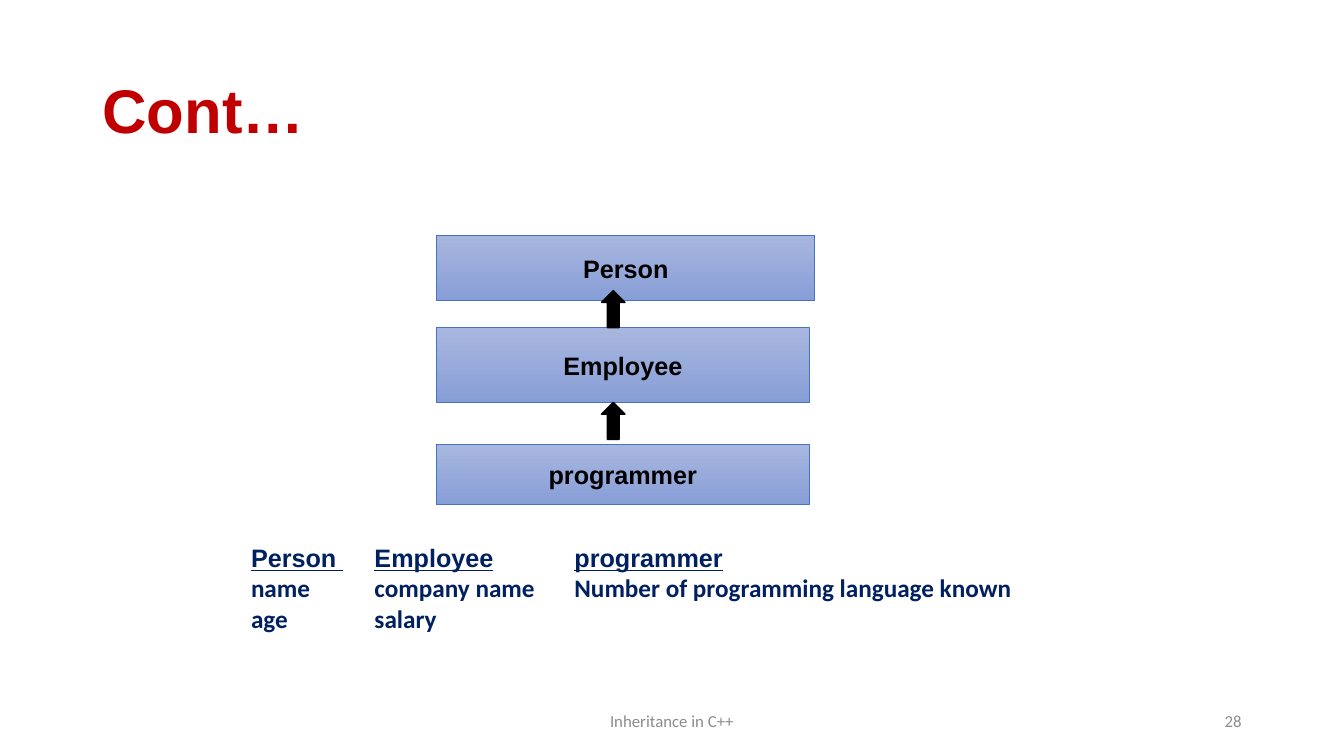
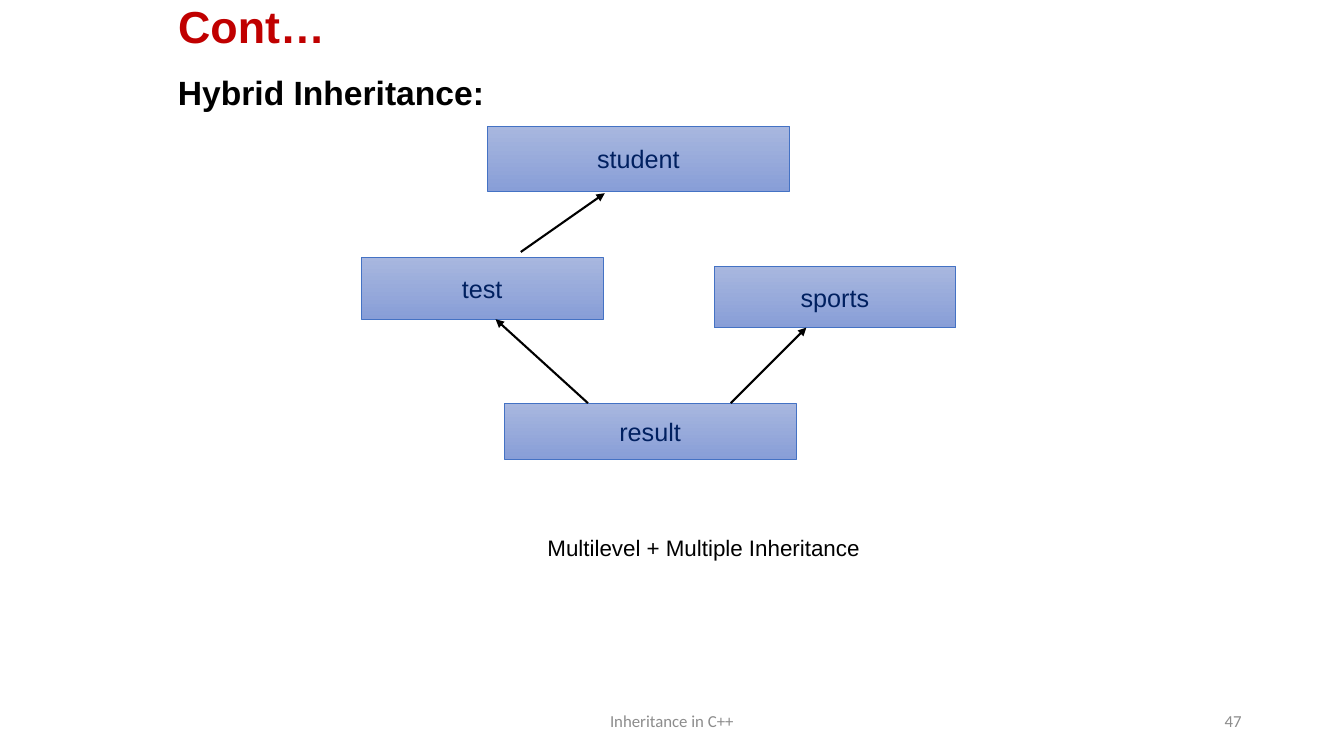
from lxml.etree import SubElement
from pptx import Presentation
from pptx.dml.color import RGBColor
from pptx.enum.shapes import MSO_CONNECTOR, MSO_SHAPE
from pptx.enum.text import MSO_ANCHOR, MSO_AUTO_SIZE, PP_ALIGN
from pptx.oxml.ns import qn
from pptx.util import Inches, Pt

SLIDE_WIDTH, SLIDE_HEIGHT = Inches(13.333), Inches(7.5)
COLUMNS = 16  # square cells: 16 columns by 9 rows
CELL = SLIDE_WIDTH / COLUMNS
TITLE_ONLY = 5

COLORS = {
    "title": "C00000",
    "navy": "002060",
    "black": "000000",
    "footer": "8C8C8C",
    "box_top": "A8B7DF",
    "box_bottom": "889ED7",
    "box_line": "4472C4",
}


def color(name):
    return RGBColor.from_string(COLORS[name])


def cells(*values):
    """Turn grid cells into slide lengths."""
    return [round(value * CELL) for value in values]


def add_run(paragraph, text, size, color_name, font="Arial", bold=False, underline=False):
    run = paragraph.add_run()
    run.text = text
    run.font.name = font
    run.font.size = Pt(size)
    run.font.bold = bold
    run.font.underline = underline
    run.font.color.rgb = color(color_name)


def add_text_box(slide, area, anchor=MSO_ANCHOR.TOP, wrap=True):
    """Add an empty text box and return its text frame."""
    frame = slide.shapes.add_textbox(*cells(*area)).text_frame
    frame.word_wrap = wrap
    frame.vertical_anchor = anchor
    return frame


def add_footer_text(slide, area, text, alignment):
    paragraph = add_text_box(slide, area, MSO_ANCHOR.MIDDLE).paragraphs[0]
    paragraph.alignment = alignment
    add_run(paragraph, text, 12, "footer", font="Calibri")


def add_slide(presentation, title, title_area, title_size, anchor, number):
    """Add a slide with the shared title style, footer and slide number."""
    slide = presentation.slides.add_slide(presentation.slide_layouts[TITLE_ONLY])
    shape = slide.shapes.title
    shape.left, shape.top, shape.width, shape.height = cells(*title_area)
    frame = shape.text_frame
    frame.auto_size = MSO_AUTO_SIZE.NONE
    frame.vertical_anchor = anchor
    paragraph = frame.paragraphs[0]
    paragraph.alignment = PP_ALIGN.LEFT
    paragraph.line_spacing = 0.9
    add_run(paragraph, title, title_size, "title", bold=True)
    add_footer_text(slide, (5.3, 8.34, 5.4, 0.48), "Inheritance in C++", PP_ALIGN.CENTER)
    add_footer_text(slide, (11.3, 8.34, 3.6, 0.48), number, PP_ALIGN.RIGHT)
    return slide


def add_class_box(slide, name, area, text_color, bold=False):
    box = slide.shapes.add_shape(MSO_SHAPE.RECTANGLE, *cells(*area))
    box.shadow.inherit = False
    box.fill.gradient()
    box.fill.gradient_angle = 270
    for stop, color_name in zip(box.fill.gradient_stops, ("box_top", "box_bottom")):
        stop.color.rgb = color(color_name)
    box.line.color.rgb = color("box_line")
    box.line.width = Pt(0.5)
    box.text_frame.vertical_anchor = MSO_ANCHOR.MIDDLE
    paragraph = box.text_frame.paragraphs[0]
    paragraph.alignment = PP_ALIGN.CENTER
    add_run(paragraph, name, 18, text_color, bold=bold)


def add_block_arrow(slide, top):
    arrow = slide.shapes.add_shape(MSO_SHAPE.UP_ARROW, *cells(7.16, top, 0.28, 0.44))
    arrow.shadow.inherit = False
    arrow.fill.solid()
    arrow.fill.fore_color.rgb = color("black")
    arrow.line.color.rgb = color("black")
    arrow.line.width = Pt(1)


def add_line_arrow(slide, start, end):
    connector = slide.shapes.add_connector(MSO_CONNECTOR.STRAIGHT, *cells(*start, *end))
    connector.line.color.rgb = color("black")
    connector.line.width = Pt(1.5)
    SubElement(connector.line._get_or_add_ln(), qn("a:tailEnd"), type="triangle")
    SubElement(connector._element.spPr, qn("a:effectLst"))


def set_tab_stops(paragraph, positions):
    tab_list = SubElement(paragraph._p.get_or_add_pPr(), qn("a:tabLst"))
    for position in cells(*positions):
        SubElement(tab_list, qn("a:tab"), pos=str(position), algn="l")


def add_member_list(slide, area, rows, tab_stops):
    """List class members in tabbed columns under underlined class names."""
    frame = add_text_box(slide, area)
    for index, row in enumerate(rows):
        heading = index == 0
        paragraph = frame.add_paragraph() if index else frame.paragraphs[0]
        set_tab_stops(paragraph, tab_stops)
        font = "Arial" if heading else "Calibri"
        for column, text in enumerate(row):
            if column:
                add_run(paragraph, "\t", 18, "navy", font)
            add_run(paragraph, text, 18, "navy", font, bold=True, underline=heading)


def build_multilevel_slide(presentation):
    slide = add_slide(presentation, "Cont…", (1.1, 0.48, 13.8, 1.74), 44,
                      MSO_ANCHOR.MIDDLE, "28")
    for name, top, width, height in (
        ("Person", 2.8, 4.5, 0.78),
        ("Employee", 3.9, 4.43, 0.89),
        ("programmer", 5.29, 4.43, 0.71),
    ):
        add_class_box(slide, name, (5.2, top, width, height), "black", bold=True)
    for top in (3.46, 4.79):
        add_block_arrow(slide, top)
    add_member_list(slide, (2.87, 6.4, 10.8, 1.21), (
        ("Person ", "Employee", "programmer"),
        ("name", "company name", "Number of programming language known"),
        ("age", "salary"),
    ), tab_stops=(1.47, 3.85))


def build_hybrid_slide(presentation):
    slide = add_slide(presentation, "Cont…", (2, 0, 12, 1.3), 32, MSO_ANCHOR.TOP, "47")
    for name, area in (
        ("student", (5.8, 1.5, 3.6, 0.78)),
        ("test", (4.3, 3.06, 2.88, 0.74)),
        ("sports", (8.5, 3.17, 2.88, 0.73)),
        ("result", (6, 4.8, 3.48, 0.67)),
    ):
        add_class_box(slide, name, area, "navy")
    for start, end in (
        ((6.2, 3), (7.2, 2.3)),
        ((8.7, 4.8), (9.6, 3.9)),
        ((7, 4.8), (5.9, 3.8)),
    ):
        add_line_arrow(slide, start, end)
    heading = add_text_box(slide, (2, 0.8, 11.6, 0.6))
    add_run(heading.paragraphs[0], "Hybrid Inheritance:", 24, "black", bold=True)
    caption = add_text_box(slide, (6.4, 6.3, 4, 0.44), wrap=False)
    add_run(caption.paragraphs[0], "Multilevel + Multiple Inheritance", 16, "black")


def main():
    presentation = Presentation()
    presentation.slide_width = SLIDE_WIDTH
    presentation.slide_height = SLIDE_HEIGHT
    build_multilevel_slide(presentation)
    build_hybrid_slide(presentation)
    presentation.save("out.pptx")


if __name__ == "__main__":
    main()
